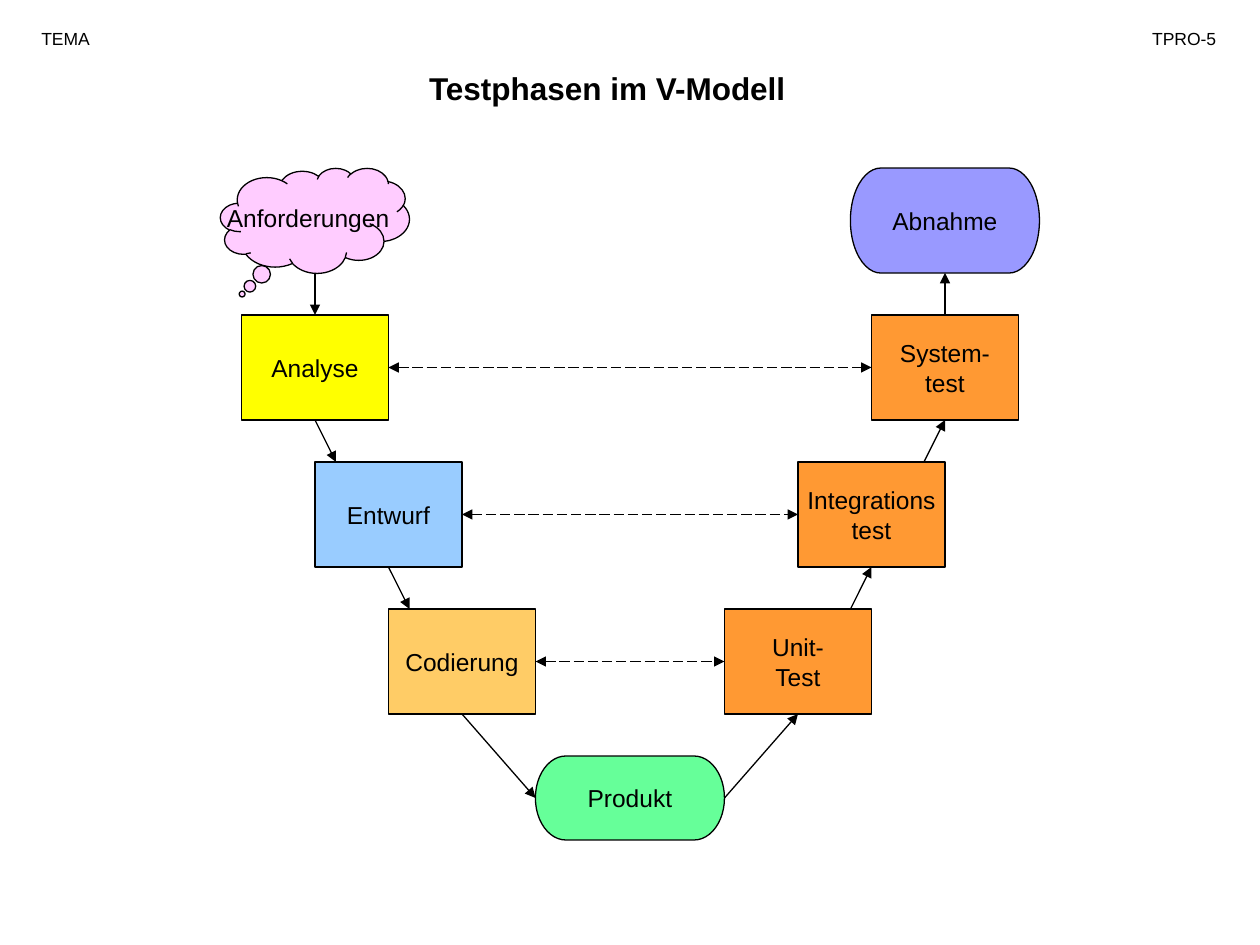
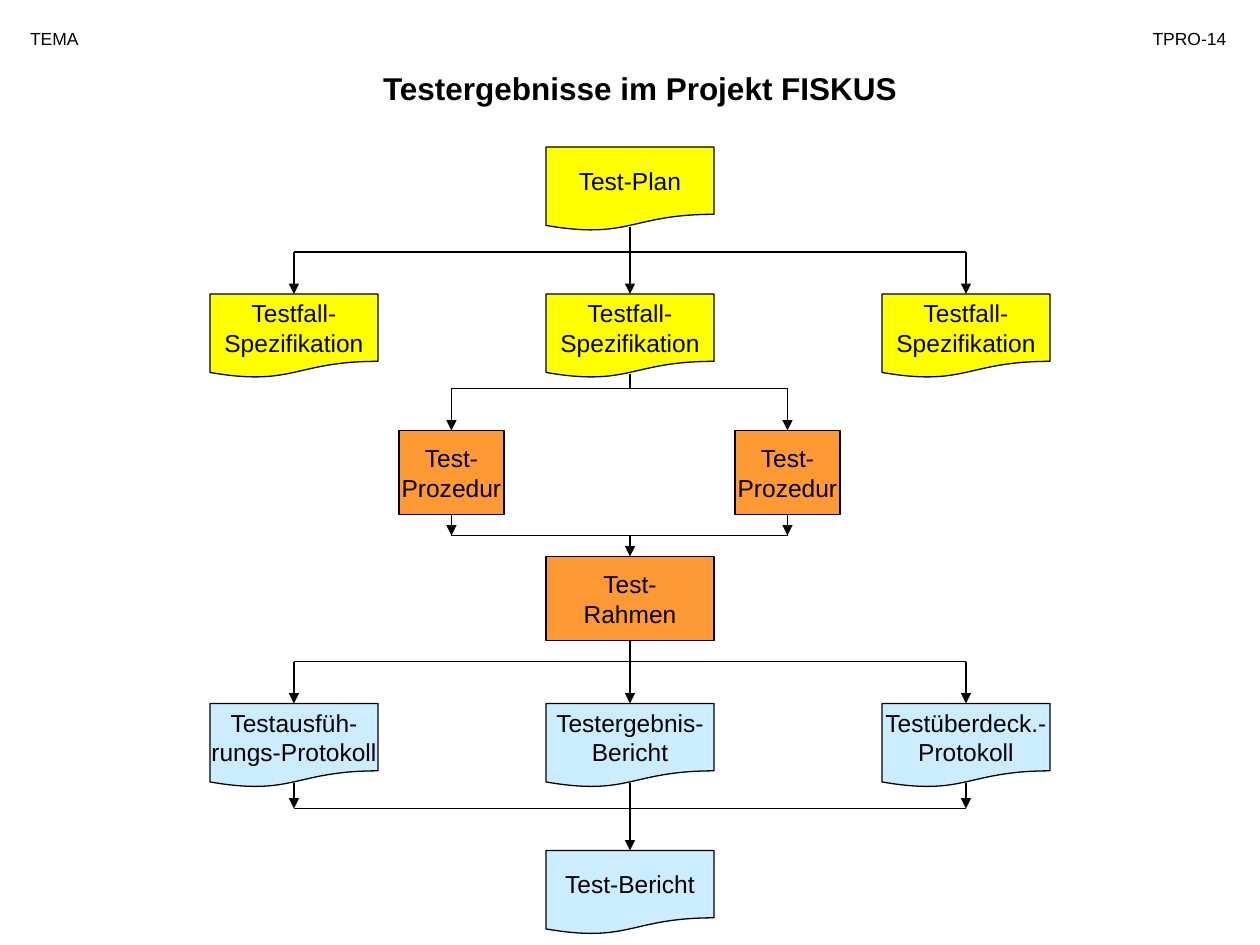
import pptx
import pptx.util
import pptx.dml.color
import pptx.enum.dml
import pptx.enum.shapes
import pptx.enum.text
import pptx.oxml.ns
import lxml.etree

SHAPE = pptx.enum.shapes.MSO_SHAPE
ALIGN = pptx.enum.text.PP_ALIGN
BLACK = "000000"
YELLOW = "FFFF00"
ORANGE = "FF9933"
ICE = "CCECFF"
WAVE = 7.6  # depth at which a line leaves the wavy foot of a document


def grid(cells):
    """Turn grid cells of a twelfth of an inch into a length."""
    return pptx.util.Inches(cells / 12)


def color(code):
    return pptx.dml.color.RGBColor.from_string(code)


def write(frame, text, size, align, bold=False):
    frame.text = text
    for para in frame.paragraphs:
        para.alignment = align
        for run in para.runs:
            run.font.name = "Arial"
            run.font.size = pptx.util.Pt(size)
            run.font.bold = bold
            run.font.color.rgb = color(BLACK)


def label(slide, left, top, width, height, text, size, align, bold=False):
    sizes = [pptx.util.Inches(v) for v in (left, top, width, height)]
    frame = slide.shapes.add_textbox(*sizes).text_frame
    frame.word_wrap = True
    write(frame, text, size, align, bold)


def header(slide, title, middle, code, margin, edge):
    """Place the title around its middle, and the course and page code beside the edges."""
    label(slide, middle - 3.6, 0.5, 7.2, 0.4, title, 18, ALIGN.CENTER, True)
    label(slide, margin, 0.17, 1.1, 0.27, "TEMA", 10, ALIGN.LEFT)
    label(slide, edge - 1, 0.17, 1, 0.27, code, 10, ALIGN.RIGHT)


class Chart:
    """Draws nodes and lines in grid cells, counted from the corner of a box."""

    def __init__(self, slide, left, top):
        self.shapes = slide.shapes
        self.left = left
        self.top = top

    def node(self, kind, x, y, width, height, fill, text):
        shape = self.shapes.add_shape(
            kind, grid(self.left + x), grid(self.top + y), grid(width), grid(height))
        shape.shadow.inherit = False
        shape.fill.solid()
        shape.fill.fore_color.rgb = color(fill)
        shape.line.color.rgb = color(BLACK)
        shape.line.width = pptx.util.Pt(0.75)
        frame = shape.text_frame
        frame.word_wrap = False
        frame.vertical_anchor = pptx.enum.text.MSO_ANCHOR.MIDDLE
        write(frame, text, 14, ALIGN.CENTER)
        return shape

    def line(self, x1, y1, x2, y2, ends=("tailEnd",), dash=False):
        link = self.shapes.add_connector(
            pptx.enum.shapes.MSO_CONNECTOR.STRAIGHT,
            grid(self.left + x1), grid(self.top + y1),
            grid(self.left + x2), grid(self.top + y2))
        link.line.color.rgb = color(BLACK)
        link.line.width = pptx.util.Pt(0.75)
        if dash:
            link.line.dash_style = pptx.enum.dml.MSO_LINE.LONG_DASH
        stroke = link.line._get_or_add_ln()
        for end in ends:
            tip = lxml.etree.SubElement(stroke, pptx.oxml.ns.qn("a:" + end))
            tip.set("type", "triangle")
        lxml.etree.SubElement(link._element.spPr, pptx.oxml.ns.qn("a:effectLst"))

    def rail(self, stops, y, start, end):
        """Draw a cross line at y, and an arrow from start to end at each stop."""
        for x in stops:
            self.line(x, start, x, end)
        self.line(stops[0], y, stops[-1], y, ends=())


def model(slide, left, top, width):
    """Draw the V of work phases on the left and test phases on the right."""
    chart = Chart(slide, left, top)
    wide, high, pitch = 14, 10, 14
    phases = [
        ("Analyse", YELLOW, "System-\ntest"),
        ("Entwurf", "99CCFF", "Integrations\ntest"),
        ("Codierung", "FFCC66", "Unit-\nTest"),
    ]
    cloud = chart.node(SHAPE.CLOUD_CALLOUT, 0, 0, 18, high, "FFCCFF", "Anforderungen")
    cloud.adjustments[0] = -0.385
    cloud.adjustments[1] = 0.7
    chart.node(SHAPE.FLOWCHART_TERMINATOR, width - 18, 0, 18, high, "9999FF", "Abnahme")
    chart.node(SHAPE.FLOWCHART_TERMINATOR, width / 2 - 9, 56, 18, 8, "66FF99", "Produkt")
    chart.line(9, high, 9, pitch)
    chart.line(width - 9, pitch, width - 9, high)
    for row, (work, fill, test) in enumerate(phases):
        x, y = 2 + 7 * row, pitch * (row + 1)
        chart.node(SHAPE.RECTANGLE, x, y, wide, high, fill, work)
        chart.node(SHAPE.RECTANGLE, width - x - wide, y, wide, high, ORANGE, test)
        chart.line(x + wide, y + 5, width - x - wide, y + 5, ("headEnd", "tailEnd"), True)
        mid, foot = x + 7, y + high
        if row < len(phases) - 1:
            goal, floor = mid + 2, y + pitch
        else:
            goal, floor = width / 2 - 9, 60
        chart.line(mid, foot, goal, floor)
        chart.line(width - goal, floor, width - mid, foot)


def results(slide, left, top, width):
    """Draw the flow from test plan to test report."""
    chart = Chart(slide, left, top)
    doc, box = SHAPE.FLOWCHART_DOCUMENT, SHAPE.RECTANGLE
    mid = width / 2
    outer, inner = (8, mid, width - 8), (23, 55)
    rows = [
        (doc, 0, 16, YELLOW, [mid], ["Test-Plan"]),
        (doc, 14, 16, YELLOW, outer, ["Testfall-\nSpezifikation"] * 3),
        (box, 27, 10, ORANGE, inner, ["Test-\nProzedur"] * 2),
        (box, 39, 16, ORANGE, [mid], ["Test-\nRahmen"]),
        (doc, 53, 16, ICE, outer, ["Testausfüh-\nrungs-Protokoll",
                                   "Testergebnis-\nBericht",
                                   "Testüberdeck.-\nProtokoll"]),
        (doc, 67, 16, ICE, [mid], ["Test-Bericht"]),
    ]
    for kind, y, wide, fill, centers, texts in rows:
        for x, text in zip(centers, texts):
            chart.node(kind, x - wide / 2, y, wide, 8, fill, text)
    sides = outer[::2]
    chart.rail(sides, 10, 10, 14)
    chart.rail(inner, 23, 23, 27)
    chart.rail(inner, 37, 35, 37)
    chart.rail(sides, 49, 49, 53)
    chart.rail(sides, 63, 53 + WAVE, 63)
    for start, end in ((WAVE, 14), (37, 39), (47, 53), (53 + WAVE, 67)):
        chart.line(mid, start, mid, end)
    chart.line(mid, 14 + WAVE, mid, 23, ends=())


def main():
    deck = pptx.Presentation()
    deck.slide_width = pptx.util.Inches(10)
    deck.slide_height = pptx.util.Inches(7.5)
    blank = deck.slide_layouts[6]

    slide = deck.slides.add_slide(blank)
    header(slide, "Testphasen im V-Modell", 4.82, "TPRO-5", 0.23, 9.75)
    model(slide, 21, 16, 78)

    slide = deck.slides.add_slide(blank)
    header(slide, "Testergebnisse im Projekt FISKUS", 5.08, "TPRO-14", 0.14, 9.83)
    results(slide, 20, 14, 80)

    deck.save("out.pptx")


if __name__ == "__main__":
    main()
